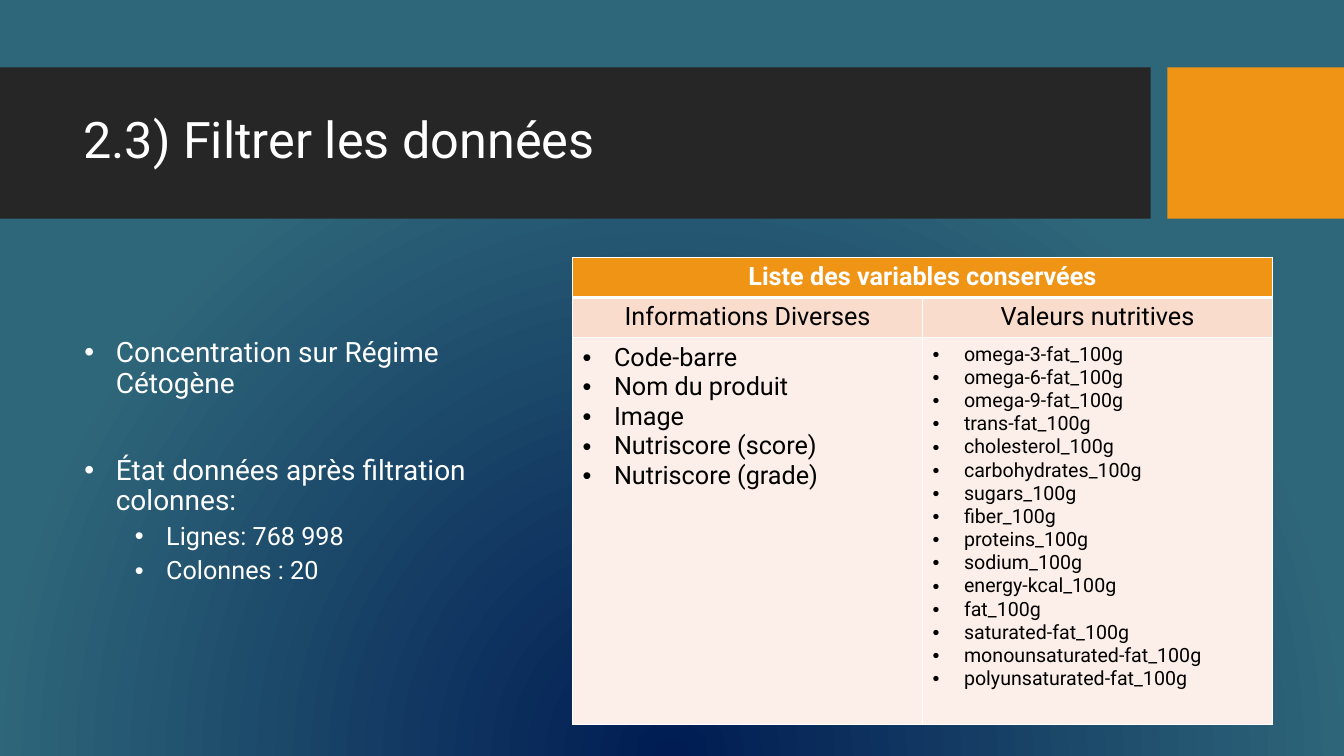
from dataclasses import dataclass
from pptx import Presentation
from pptx.dml.color import RGBColor
from pptx.enum.shapes import MSO_SHAPE
from pptx.enum.text import MSO_ANCHOR, PP_ALIGN
from pptx.oxml import parse_xml
from pptx.oxml.ns import nsdecls, qn
from pptx.util import Cm, Pt


@dataclass(frozen=True)
class Theme:
    font: str = "Roboto"
    navy: str = "001C53"
    teal: str = "2F677A"
    dark: str = "262626"
    orange: str = "F09415"
    peach: str = "F9DCCC"
    pale: str = "FCEEE8"
    white: str = "FFFFFF"
    black: str = "000000"
    title: int = 36
    body: int = 20
    text: int = 18
    small: int = 14


THEME = Theme()
HANG = 0.79  # bullet indent, cm
MISC = ["Code-barre", "Nom du produit", "Image",
        "Nutriscore (score)", "Nutriscore (grade)"]
FOODS = [f"{name}_100g" for name in (
    "omega-3-fat", "omega-6-fat", "omega-9-fat", "trans-fat", "cholesterol",
    "carbohydrates", "sugars", "fiber", "proteins", "sodium", "energy-kcal",
    "fat", "saturated-fat", "monounsaturated-fat", "polyunsaturated-fat")]
# text, level, size, space before in points
POINTS = [
    ("Concentration sur Régime Cétogène", 0, THEME.body, 10),
    ("État données après filtration colonnes:", 0, THEME.body, 41),
    ("Lignes: 768 998", 1, THEME.text, 5),
    ("Colonnes : 20", 1, THEME.text, 5),
]


def paint(fill, color):
    fill.solid()
    fill.fore_color.rgb = RGBColor.from_string(color)


def style(para, size, color, bold=False):
    font = para.font
    font.name, font.size, font.bold = THEME.font, Pt(size), bold
    font.color.rgb = RGBColor.from_string(color)


def bullet(para, left=HANG):
    props = para._p.get_or_add_pPr()
    props.set("marL", str(Cm(left)))
    props.set("indent", str(-Cm(HANG)))
    for tag in ('buFont typeface="Arial"', 'buChar char="•"'):
        props.append(parse_xml(f"<a:{tag} {nsdecls('a')}/>"))


def lines(frame, texts):
    """Write one paragraph per text and yield each."""
    for i, text in enumerate(texts):
        para = frame.add_paragraph() if i else frame.paragraphs[0]
        para.text = text
        yield para


def textbox(slide, box):
    frame = slide.shapes.add_textbox(*map(Cm, box)).text_frame
    frame.word_wrap = True
    return frame


def backdrop(slide):
    fill = slide.background.fill
    fill.gradient()
    for stop, color, place in zip(fill.gradient_stops,
                                  (THEME.navy, THEME.teal), (0, 0.89)):
        stop.color.rgb = RGBColor.from_string(color)
        stop.position = place
    lin = next(slide.element.iter(qn("a:lin")))
    lin.getparent().replace(lin, parse_xml(
        f'<a:path {nsdecls("a")} path="circle"><a:fillToRect l="50000" '
        't="130000" r="50000" b="-30000"/></a:path>'))


def header(slide, box, text):
    left, top, width, height = box
    block, gap = 4.45, 0.42
    bar = width - block - gap
    # Dark bar and orange block
    for x, wide, color in ((left, bar, THEME.dark),
                           (left + bar + gap, block, THEME.orange)):
        shape = slide.shapes.add_shape(
            MSO_SHAPE.RECTANGLE, *map(Cm, (x, top, wide, height)))
        shape.shadow.inherit = False
        paint(shape.fill, color)
        shape.line.fill.background()
    # Title
    frame = textbox(slide, (left + 1.85, top + 0.38, bar - 2.23, height - 0.81))
    frame.vertical_anchor = MSO_ANCHOR.MIDDLE
    for para in lines(frame, [text]):
        para.line_spacing = 0.9
        style(para, THEME.title, THEME.white)


def summary(slide, box):
    frame = textbox(slide, box)
    paras = lines(frame, [point[0] for point in POINTS])
    for para, (_, level, size, space) in zip(paras, POINTS):
        para.level = level
        bullet(para, HANG + 1.27 * level)
        para.line_spacing = 0.9
        para.space_before = Pt(space)
        style(para, size, THEME.white)


def cell_look(cell, color, base=1):
    props = cell._tc.get_or_add_tcPr()
    for side, width in zip("LRTB", (1, 1, 1, base)):
        props.append(parse_xml(
            f'<a:ln{side} {nsdecls("a")} w="{Pt(width)}"><a:solidFill>'
            f'<a:srgbClr val="{THEME.white}"/></a:solidFill></a:ln{side}>'))
    paint(cell.fill, color)


def variables(slide, box):
    head = 0.99
    table = slide.shapes.add_table(3, 2, *map(Cm, box)).table
    table.first_row = table.horz_banding = False
    for col in table.columns:
        col.width = Cm(box[2] / 2)
    for row, height in zip(table.rows, (head, head, box[3] - 2 * head)):
        row.height = Cm(height)
    for row, color, base in ((0, THEME.orange, 3), (1, THEME.peach, 1),
                             (2, THEME.pale, 1)):
        for col in range(2):
            cell_look(table.cell(row, col), color, base)
    # Headings
    table.cell(0, 0).merge(table.cell(0, 1))
    heads = ((0, 0, "Liste des variables conservées", THEME.white, True),
             (1, 0, "Informations Diverses", THEME.black, False),
             (1, 1, "Valeurs nutritives", THEME.black, False))
    for row, col, text, color, bold in heads:
        for para in lines(table.cell(row, col).text_frame, [text]):
            para.alignment = PP_ALIGN.CENTER
            style(para, THEME.text, color, bold)
    # Lists
    for col, (names, size) in enumerate(((MISC, THEME.text),
                                         (FOODS, THEME.small))):
        for para in lines(table.cell(2, col).text_frame, names):
            bullet(para)
            style(para, size, THEME.black)


deck = Presentation()
deck.slide_width, deck.slide_height = Cm(33.87), Cm(19.05)
slide = deck.slides.add_slide(deck.slide_layouts[6])
backdrop(slide)
header(slide, (0, 1.7, 33.87, 3.81), "2.3) Filtrer les données")
summary(slide, (1.88, 8.41, 10.62, 8.1))
variables(slide, (14.43, 6.48, 17.64, 11.72))
deck.save("out.pptx")
